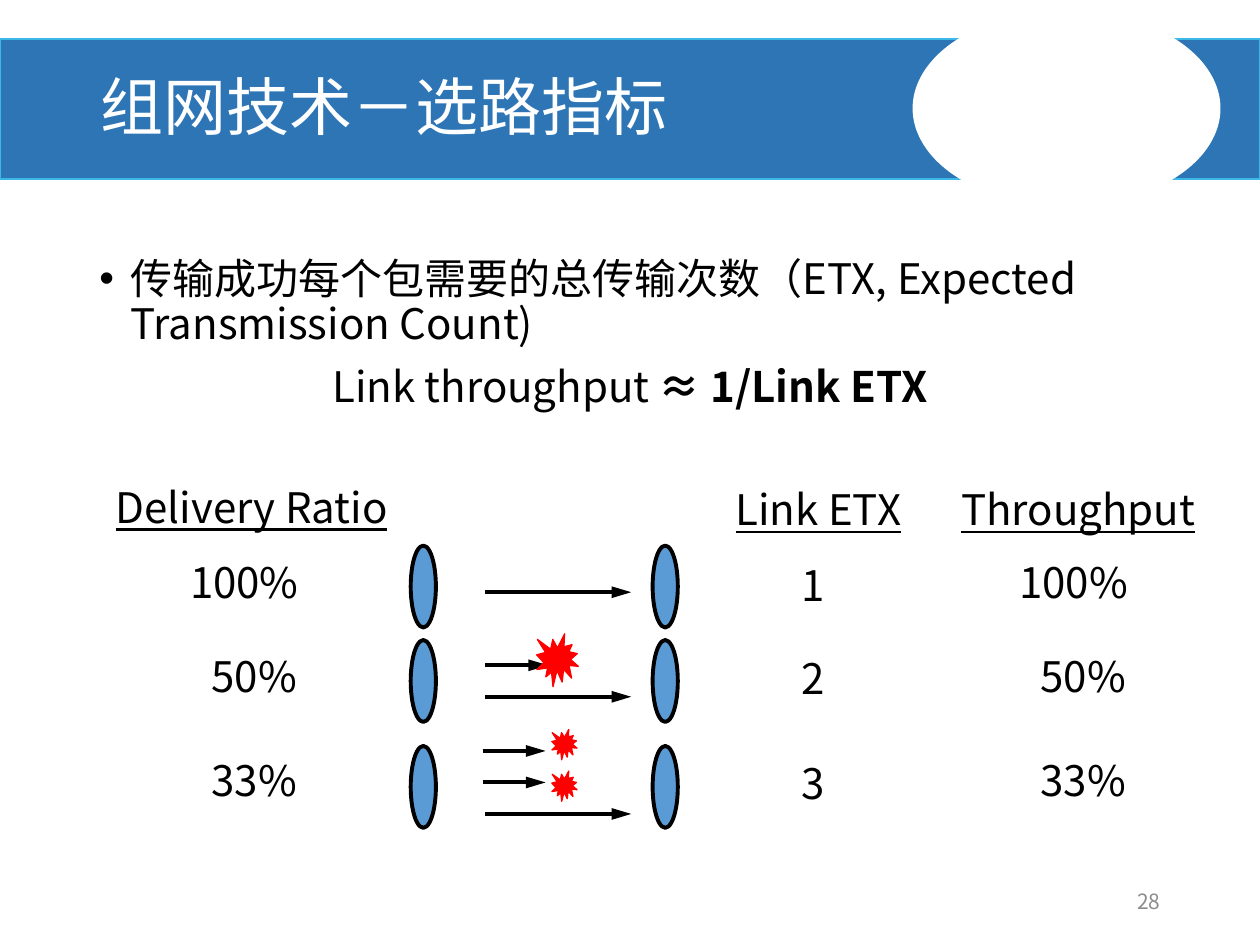
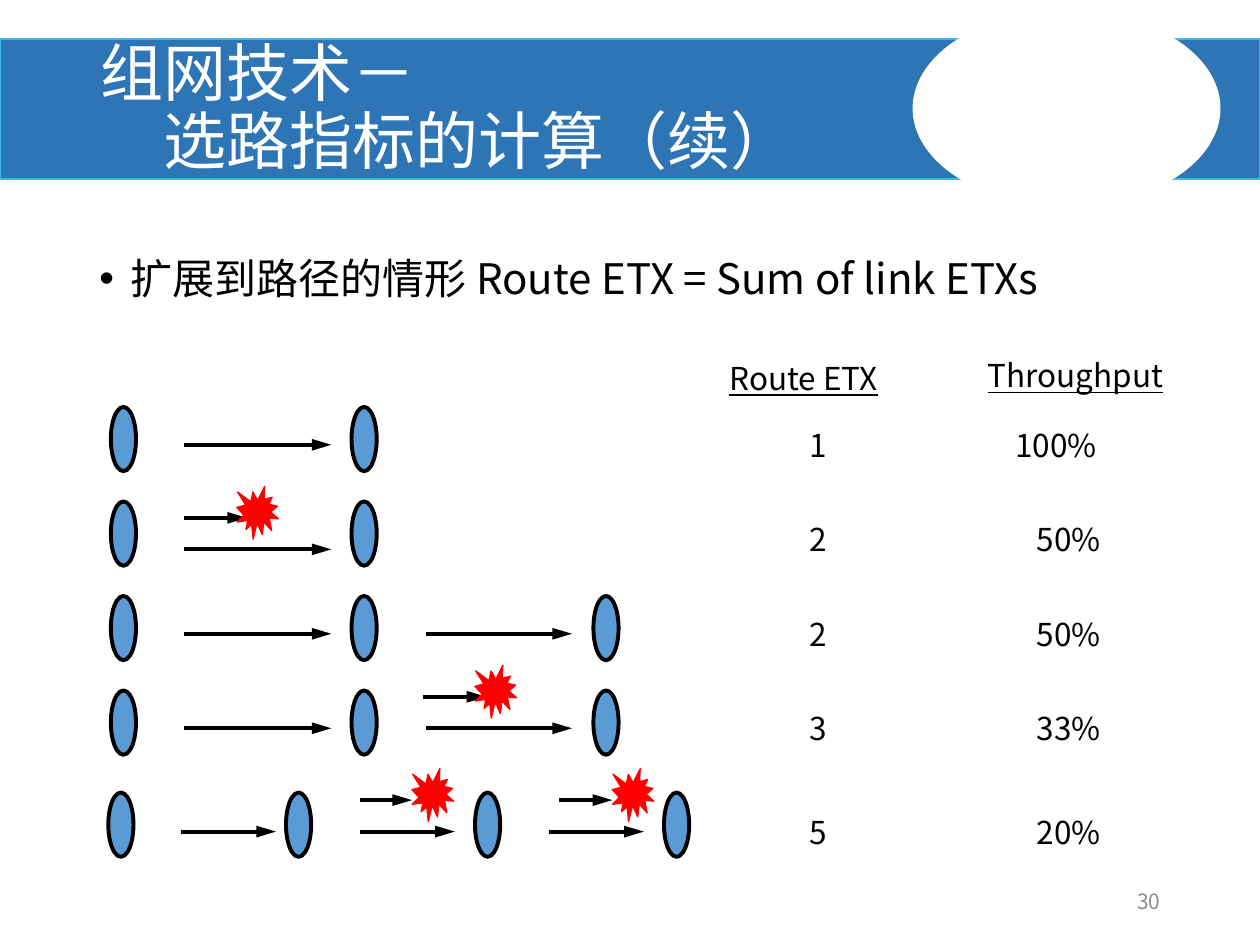
from lxml.etree import SubElement
from pptx import Presentation
from pptx.dml.color import RGBColor
from pptx.enum.shapes import MSO_CONNECTOR, MSO_SHAPE
from pptx.enum.text import MSO_ANCHOR, MSO_AUTO_SIZE, PP_ALIGN
from pptx.oxml.ns import qn
from pptx.util import Inches, Pt

FONT = "Noto Sans CJK SC"
WHITE = RGBColor(0xFF, 0xFF, 0xFF)
BLACK = RGBColor(0, 0, 0)
GRAY = RGBColor(0x8C, 0x8C, 0x8C)
BAND_BLUE = RGBColor(0x2E, 0x75, 0xB6)
BAND_EDGE = RGBColor(0x3B, 0xB8, 0xE6)
NODE_BLUE = RGBColor(0x5B, 0x9B, 0xD5)
RED = RGBColor(0xFF, 0, 0)

NODE_WIDTH = 0.2
BIG_BURST, SMALL_BURST = (0.33, 0.42), (0.2, 0.24)
TWO_DIGIT_INDENT = 0.17
# Label width in ems, by number of characters
LABEL_EMS = {1: 0.63, 3: 2.1, 4: 2.67, 8: 4.05, 9: 5.12, 10: 5.76, 14: 6.75}

# Rows: node top, node lefts, arrows (left, right, height)
# Bursts: left, top, size
# Columns: heading, heading left, heading top, cell left, first cell top, cells
LINK_NODES = (3.26, 5.18)
ROUTE_NODES = (0.88, 2.79, 4.71)
SLIDES = [
    {
        "title": "组网技术－选路指标",
        "number": "28",
        "body": [
            ["传输成功每个包需要的总传输次数（ETX, Expected Transmission Count)"],
            ["Link throughput ", "≈ 1/Link ETX"],
        ],
        "node_height": 0.65,
        "rows": [
            (4.33, LINK_NODES, [(3.85, 5.01, 4.7)]),
            (5.08, LINK_NODES, [(3.85, 4.35, 5.28), (3.85, 5.01, 5.53)]),
            (5.92, LINK_NODES, [(3.83, 4.33, 5.96), (3.83, 4.33, 6.21),
                                (3.85, 5.01, 6.46)]),
        ],
        "bursts": [(4.26, 5.03, BIG_BURST), (4.38, 5.79, SMALL_BURST),
                   (4.38, 6.12, SMALL_BURST)],
        "label_size": 24,
        "label_height": 0.5,
        "cell_offsets": (0, 0.74, 1.57),
        "columns": [
            ("Delivery Ratio", 0.82, 3.77, 1.41, 4.37, ["100%", "50%", "33%"]),
            ("Link ETX", 5.74, 3.79, 6.26, 4.39, ["1", "2", "3"]),
            ("Throughput", 7.53, 3.79, 7.99, 4.37, ["100%", "50%", "33%"]),
        ],
    },
    {
        "title": "组网技术－\n\t选路指标的计算（续）",
        "number": "30",
        "body": [["扩展到路径的情形 Route ETX = Sum of link ETXs"]],
        "node_height": 0.51,
        "rows": [
            (3.23, ROUTE_NODES[:2], [(1.46, 2.63, 3.53)]),
            (3.98, ROUTE_NODES[:2], [(1.46, 1.96, 4.11), (1.46, 2.63, 4.36)]),
            (4.73, ROUTE_NODES, [(1.46, 2.63, 5.03), (3.38, 4.54, 5.03)]),
            (5.48, ROUTE_NODES, [(1.46, 2.63, 5.78), (3.36, 3.86, 5.53),
                                 (3.38, 4.54, 5.78)]),
            (6.29, (0.86, 2.27, 3.77, 5.27),
             [(1.44, 2.19, 6.6), (2.86, 3.27, 6.35), (2.86, 3.61, 6.6),
              (4.44, 4.86, 6.35), (4.36, 5.11, 6.6)]),
        ],
        "bursts": [(left, top, BIG_BURST) for left, top in
                   [(1.88, 3.86), (3.77, 5.28), (3.27, 6.1), (4.86, 6.1)]],
        "label_size": 18,
        "label_height": 0.4,
        "cell_offsets": (0, 0.75, 1.5, 2.25, 3.07),
        "columns": [
            ("Route ETX", 5.69, 2.8, 6.33, 3.33, ["1", "2", "2", "3", "5"]),
            ("Throughput", 7.74, 2.78, 7.96, 3.33,
             ["100%", "50%", "50%", "33%", "20%"]),
        ],
    },
]


def style_span(span, size, color=BLACK):
    span.font.size = Pt(size)
    span.font.color.rgb = color
    span.font.name = FONT
    SubElement(span.font._element, qn("a:ea"), typeface=FONT)


def add_filled(page, kind, place, fill, edge, weight):
    shape = page.shapes.add_shape(kind, *map(Inches, place))
    shape.shadow.inherit = False
    shape.fill.solid()
    shape.fill.fore_color.rgb = fill
    shape.line.color.rgb = edge
    shape.line.width = Pt(weight)
    return shape


def add_text_box(page, place):
    box = page.shapes.add_textbox(*map(Inches, place))
    box.text_frame.word_wrap = True
    return box


def add_band_to_layout(layout, page):
    """Draw the title band on a page, then move it behind the layout's placeholders."""
    band = add_filled(page, MSO_SHAPE.RECTANGLE, (0, 0.31, 10, 1.11),
                      BAND_BLUE, BAND_EDGE, 1)
    oval = add_filled(page, MSO_SHAPE.OVAL, (7.25, 0.09, 2.43, 1.54), WHITE, WHITE, 1)
    for position, shape in enumerate((band, oval), start=2):
        layout.shapes._spTree.insert(position, shape._element)


def set_title(page, text):
    title = page.shapes.title
    title.left, title.top, title.width, title.height = map(
        Inches, (0.7, 0.33, 6.36, 1.09))
    frame = title.text_frame
    frame.auto_size = MSO_AUTO_SIZE.NONE
    frame.vertical_anchor = MSO_ANCHOR.MIDDLE
    paragraph = frame.paragraphs[0]
    paragraph.text = text
    paragraph.alignment = PP_ALIGN.LEFT
    paragraph.line_spacing = 0.9
    for span in paragraph.runs:
        style_span(span, 36, WHITE)


def add_bullet(paragraph):
    properties = paragraph._p.get_or_add_pPr()
    properties.set("marL", str(Inches(0.25)))
    properties.set("indent", str(Inches(-0.25)))
    SubElement(properties, qn("a:buFont"), typeface="Arial")
    SubElement(properties, qn("a:buChar"), char="•")


def add_body(page, paragraphs):
    """The first paragraph is a bullet; later ones are centred, with bold second spans."""
    frame = add_text_box(page, (0.69, 2, 8.62, 1.5)).text_frame
    for index, texts in enumerate(paragraphs):
        if index == 0:
            paragraph = frame.paragraphs[0]
            add_bullet(paragraph)
        else:
            paragraph = frame.add_paragraph()
            paragraph.alignment = PP_ALIGN.CENTER
            paragraph.space_before = Pt(10)
        paragraph.line_spacing = 0.9
        for position, text in enumerate(texts):
            span = paragraph.add_run()
            span.text = text
            style_span(span, 24)
            if position:
                span.font.bold = True


def add_page_number(page, number):
    frame = add_text_box(page, (7.06, 6.95, 2.25, 0.4)).text_frame
    frame.text = number
    frame.vertical_anchor = MSO_ANCHOR.MIDDLE
    frame.paragraphs[0].alignment = PP_ALIGN.RIGHT
    style_span(frame.paragraphs[0].runs[0], 12, GRAY)


def add_arrow(page, left, right, height):
    arrow = page.shapes.add_connector(
        MSO_CONNECTOR.STRAIGHT, *map(Inches, (left, height, right, height)))
    arrow.line.color.rgb = BLACK
    arrow.line.width = Pt(2.25)
    SubElement(arrow.line._get_or_add_ln(), qn("a:tailEnd"),
               type="triangle", w="med", len="lg")
    SubElement(arrow._element.spPr, qn("a:effectLst"))


def add_diagram(page, content):
    for top, node_lefts, arrows in content["rows"]:
        for left in node_lefts:
            add_filled(page, MSO_SHAPE.OVAL,
                       (left, top, NODE_WIDTH, content["node_height"]),
                       NODE_BLUE, BLACK, 2.25)
        for arrow in arrows:
            add_arrow(page, *arrow)
    for left, top, size in content["bursts"]:
        add_filled(page, MSO_SHAPE.EXPLOSION1, (left, top, *size), RED, RED, 0.75)


def add_label(page, text, left, top, content, underline=False):
    size = content["label_size"]
    width = 0.2 + LABEL_EMS[len(text)] * size / 72
    frame = add_text_box(page, (left, top, width, content["label_height"])).text_frame
    frame.word_wrap = False
    frame.auto_size = MSO_AUTO_SIZE.SHAPE_TO_FIT_TEXT
    frame.text = text
    span = frame.paragraphs[0].runs[0]
    style_span(span, size)
    if underline:
        span.font.underline = True


def add_columns(page, content):
    for heading, left, top, cell_left, cell_top, cells in content["columns"]:
        add_label(page, heading, left, top, content, underline=True)
        for text, offset in zip(cells, content["cell_offsets"]):
            indent = TWO_DIGIT_INDENT if len(text) == 3 else 0
            add_label(page, text, cell_left + indent, cell_top + offset, content)


def main():
    deck = Presentation()
    deck.slide_width, deck.slide_height = Inches(10), Inches(7.5)
    layout = deck.slide_layouts[5]
    for index, content in enumerate(SLIDES):
        page = deck.slides.add_slide(layout)
        if index == 0:
            add_band_to_layout(layout, page)
        set_title(page, content["title"])
        add_body(page, content["body"])
        add_page_number(page, content["number"])
        add_diagram(page, content)
        add_columns(page, content)
    deck.save("out.pptx")


if __name__ == "__main__":
    main()
